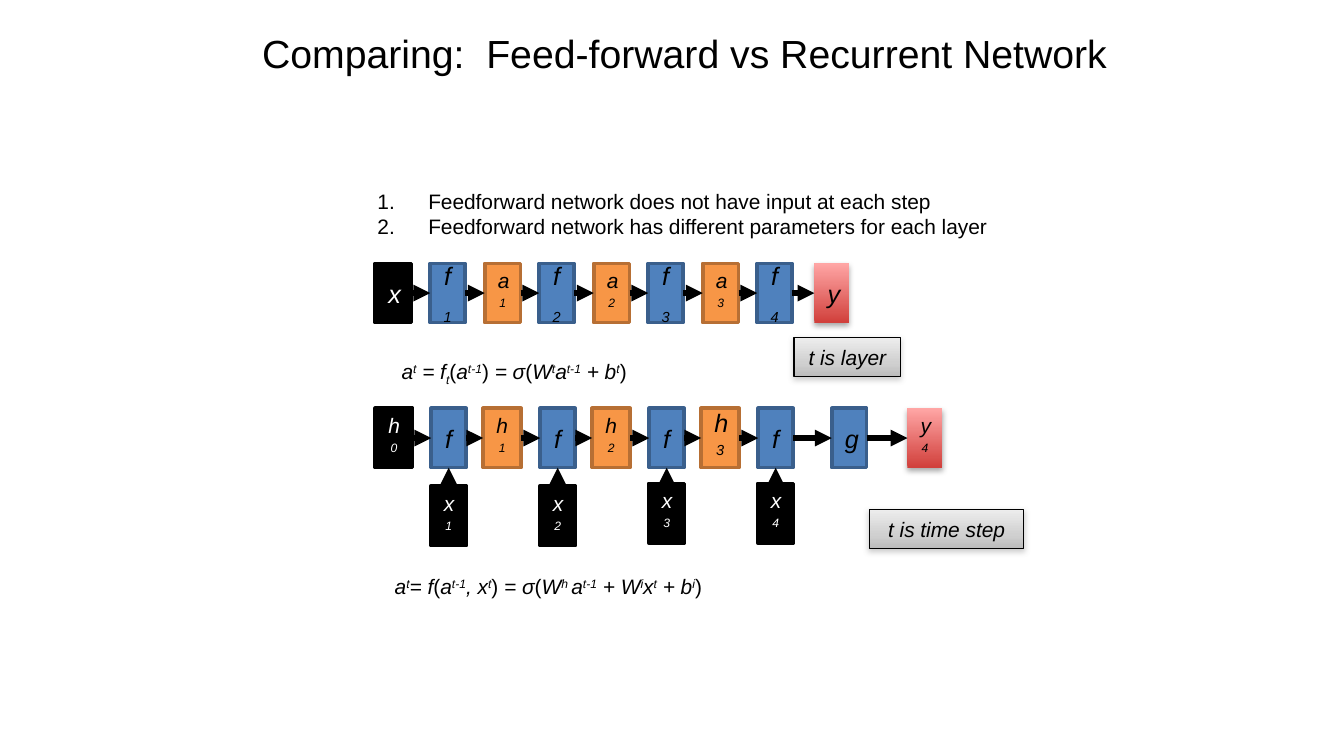
"""Build a slide comparing a feed-forward network with a recurrent network."""
from copy import deepcopy

from pptx import Presentation
from pptx import util as u
from pptx.dml.color import RGBColor
from pptx.enum import shapes, text
from pptx.oxml import ns, parse_xml
from pptx.util import Cm

THEME = {
    "font": "Arial", "title": 21, "large": 13.5, "small": 11.2,
    "ink": "000000", "paper": "FFFFFF", "arrow_width": 3,
    "input": {"fill": ["000000"], "line": ("000000", 2), "ink": "FFFFFF"},
    "function": {"fill": ["4F81BD"], "line": ("3A5F8C", 2), "ink": "000000"},
    "state": {"fill": ["F79646"], "line": ("B76F34", 2), "ink": "000000"},
    "output": {"fill": ["D1403C", "FFA6A5"], "stops": [0, 1], "angle": 90,
               "line": None, "ink": "000000", "shadow": ("000000", 35, 1.8)},
    "label": {"fill": ["EDEDED", "D0D0D0", "BCBCBC"], "stops": [0, 0.65, 1], "angle": 270,
              "line": ("000000", 0.75), "ink": "000000", "shadow": ("808080", 38, 1.6)},
}
SUP, SUB = 30, -25
BOX_HEIGHT = 1.12
PITCH = 1.03


def write(paragraph, pieces, size, ink):
    """Add italic runs, with parentheses upright and a baseline shift per run."""
    for wording, baseline in pieces:
        run = paragraph.add_run()
        run.text = wording
        run.font.name = THEME["font"]
        run.font.size = u.Pt(size)
        run.font.italic = wording not in ("(", ")")
        run.font.color.rgb = RGBColor.from_string(ink)
        if baseline:
            run.font._element.set("baseline", str(baseline * 1000))


def add_box(left, top, width, pieces, role, size, height=BOX_HEIGHT):
    """Draw one filled rectangle in the style of its role."""
    style = THEME[role]
    box = slide.shapes.add_shape(shapes.MSO_SHAPE.RECTANGLE,
                                 Cm(left), Cm(top), Cm(width), Cm(height))
    box.shadow.inherit = False
    properties = box._element.spPr
    if "stops" in style:
        box.fill.gradient()
        box.fill.gradient_angle = style["angle"]
        stop_list = properties.find(".//" + ns.qn("a:gsLst"))
        while len(stop_list) < len(style["stops"]):
            stop_list.append(deepcopy(stop_list[0]))
        for stop, place, shade in zip(box.fill.gradient_stops, style["stops"], style["fill"]):
            stop.position = place
            stop.color.rgb = RGBColor.from_string(shade)
        shade, alpha, distance = style["shadow"]
        properties.find(ns.qn("a:effectLst")).append(parse_xml(
            f'<a:outerShdw {ns.nsdecls("a")} blurRad="{u.Pt(3.1)}" dist="{u.Pt(distance)}" '
            f'dir="5400000" rotWithShape="0"><a:srgbClr val="{shade}">'
            f'<a:alpha val="{alpha * 1000}"/></a:srgbClr></a:outerShdw>'))
    else:
        box.fill.solid()
        box.fill.fore_color.rgb = RGBColor.from_string(style["fill"][0])
    if style["line"]:
        box.line.color.rgb = RGBColor.from_string(style["line"][0])
        box.line.width = u.Pt(style["line"][1])
    else:
        box.line.fill.background()
    frame = box.text_frame
    frame.word_wrap = role != "label"
    frame.vertical_anchor = text.MSO_ANCHOR.MIDDLE
    frame.paragraphs[0].alignment = text.PP_ALIGN.CENTER
    write(frame.paragraphs[0], pieces, size, style["ink"])
    return box


prs = Presentation()
prs.slide_width, prs.slide_height = Cm(25.4), Cm(14.29)
slide = prs.slides.add_slide(prs.slide_layouts[1])
slide.background.fill.solid()
slide.background.fill.fore_color.rgb = RGBColor.from_string(THEME["paper"])
large, small = THEME["large"], THEME["small"]

title, differences = slide.placeholders
title.left, title.top, title.width, title.height = Cm(3.86), Cm(0.43), Cm(18.16), Cm(1.14)
title.text_frame.text = "Comparing:  Feed-forward vs Recurrent Network"
title.text_frame.vertical_anchor = text.MSO_ANCHOR.MIDDLE
title.text_frame.paragraphs[0].alignment = text.PP_ALIGN.CENTER

differences.left, differences.top = Cm(6.88), Cm(3.43)
differences.width, differences.height = Cm(12.6), Cm(1.22)
differences.text_frame.text = ("Feedforward network does not have input at each step\n"
                               "Feedforward network has different parameters for each layer")
differences.text_frame.auto_size = text.MSO_AUTO_SIZE.SHAPE_TO_FIT_TEXT
for item in differences.text_frame.paragraphs:
    numbering = item._p.get_or_add_pPr()
    numbering.set("marL", str(Cm(0.96)))
    numbering.set("indent", str(Cm(-0.96)))
    numbering.append(parse_xml(f'<a:buAutoNum {ns.nsdecls("a")} type="arabicPeriod"/>'))
    item.space_before = u.Pt(0)

for holder, size in ((title, THEME["title"]), (differences, small)):
    for paragraph in holder.text_frame.paragraphs:
        for run in paragraph.runs:
            run.font.name = THEME["font"]
            run.font.size = u.Pt(size)
            run.font.color.rgb = RGBColor.from_string(THEME["ink"])

layer_top, step_top = 4.98, 7.72
layers = [add_box(7.09, layer_top, 0.69, [("x", 0)], "input", large)]
steps = [add_box(7.09, step_top, 0.71, [("h", 0), ("0", SUP)], "input", small)]
step_inputs = []
for n in range(1, 5):
    left = 8.13 + 2 * PITCH * (n - 1)
    layers.append(add_box(left, layer_top, 0.66, [("f", 0), (str(n), SUB)], "function", large))
    cell = add_box(left + 0.02, step_top, 0.66, [("f", 0)], "function", large)
    steps.append(cell)
    step_input = add_box(left + 0.01, 9.19 if n < 3 else 9.14, 0.68,
                         [("x", 0), (str(n), SUP)], "input", small)
    step_inputs.append((step_input, 0, cell, 2))
    if n < 4:
        layers.append(add_box(left + PITCH, layer_top, 0.68,
                              [("a", 0), (str(n), SUP)], "state", small))
        steps.append(add_box(left + PITCH - 0.03, step_top, 0.72, [("h", 0), (str(n), SUP)],
                             "state", large if n == 3 else small))
layers.append(add_box(15.39, layer_top, 0.66, [("y", 0)], "output", large))
steps.append(add_box(15.72, step_top, 0.66, [("g", 0)], "function", large))
steps.append(add_box(17.15, step_top, 0.66, [("y", 0), ("4", SUP)], "output", small))

flows = [(source, 3, target, 1) for chain in (layers, steps)
         for source, target in zip(chain, chain[1:])]
for source, source_side, target, target_side in flows + step_inputs:
    arrow = slide.shapes.add_connector(shapes.MSO_CONNECTOR.STRAIGHT, 0, 0, 0, 0)
    arrow.begin_connect(source, source_side)
    arrow.end_connect(target, target_side)
    arrow.line.color.rgb = RGBColor.from_string(THEME["ink"])
    arrow.line.width = u.Pt(THEME["arrow_width"])
    arrow.line._get_or_add_ln().append(
        parse_xml(f'<a:tailEnd {ns.nsdecls("a")} type="triangle"/>'))
    arrow._element.spPr.append(parse_xml(f'<a:effectLst {ns.nsdecls("a")}/>'))

add_box(15.01, 6.38, 2.01, [("t is layer", 0)], "label", small, 0.74)
add_box(16.43, 9.63, 2.92, [("t is time step", 0)], "label", small, 0.74)

layer_rule = [("a", 0), ("t", SUP), (" = f", 0), ("t", SUB), ("(", 0), ("a", 0), ("t-1", SUP),
              (")", 0), (" = σ", 0), ("(", 0), ("W", 0), ("t", SUP), ("a", 0), ("t-1", SUP),
              (" + b", 0), ("t", SUP), (")", 0)]
step_rule = [("a", 0), ("t", SUP), ("= f", 0), ("(", 0), ("a", 0), ("t-1", SUP), (", x", 0),
             ("t", SUP), (")", 0), (" = σ", 0), ("(", 0), ("W", 0), ("h ", SUP), ("a", 0),
             ("t-1", SUP), (" + W", 0), ("i", SUP), ("x", 0), ("t", SUP), (" + b", 0),
             ("i", SUP), (")", 0)]
for left, top, width, rule in ((7.34, 6.65, 4.98, layer_rule), (7.21, 10.72, 6.71, step_rule)):
    formula = slide.shapes.add_textbox(Cm(left), Cm(top), Cm(width), Cm(0.74)).text_frame
    formula.word_wrap = False
    formula.auto_size = text.MSO_AUTO_SIZE.SHAPE_TO_FIT_TEXT
    write(formula.paragraphs[0], rule, small, THEME["ink"])

prs.save("out.pptx")
